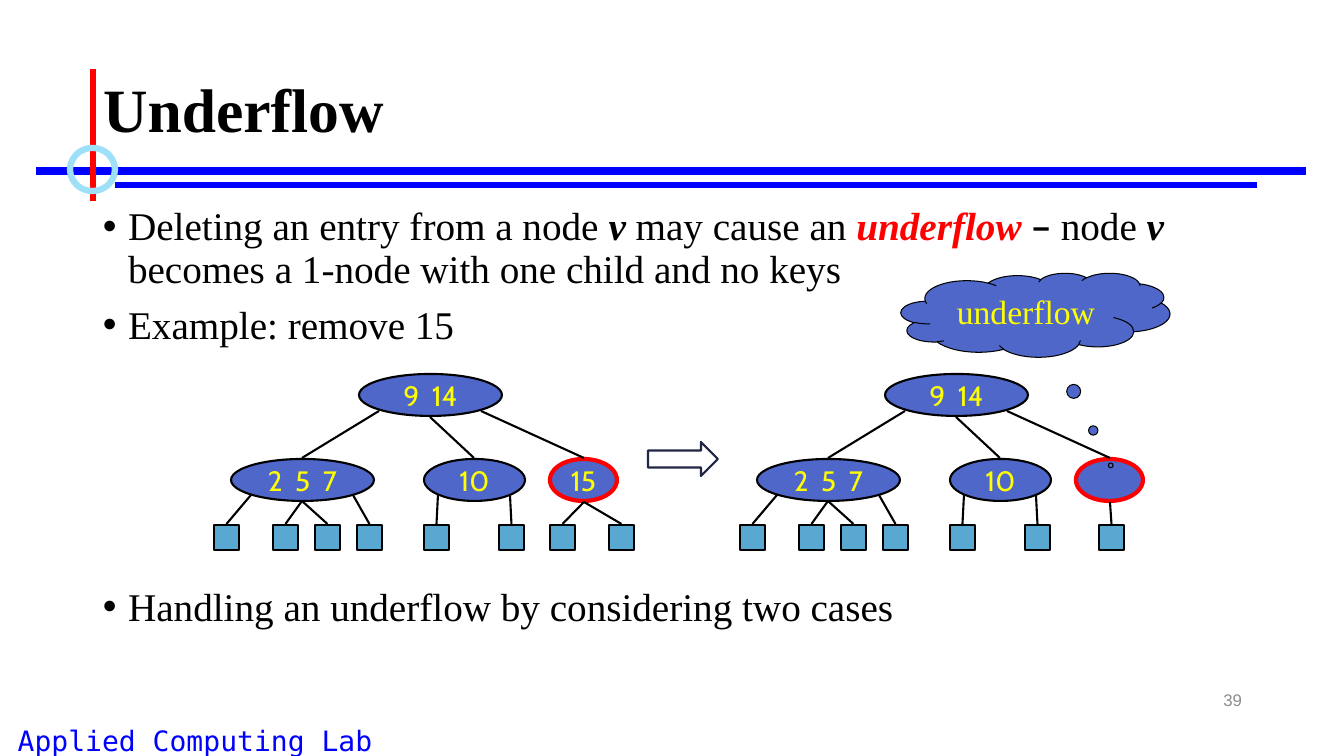
from lxml import etree
from pptx import Presentation
from pptx.dml.color import RGBColor
from pptx.enum import shapes, text
from pptx.oxml import ns
from pptx.util import Pt

BLACK = RGBColor(0, 0, 0)
BLUE = RGBColor(0, 0, 255)
RED = RGBColor(255, 0, 0)
SKY = RGBColor(0x9E, 0xE0, 0xF8)
GRAY = RGBColor(0x8C, 0x8C, 0x8C)
NODE = RGBColor(0x4E, 0x67, 0xC8)
LEAF = RGBColor(0x59, 0xA8, 0xD1)
YELLOW = RGBColor(255, 255, 0)
NAVY = RGBColor(0x21, 0x27, 0x45)
SERIF, SANS, MONO = "Times New Roman", "Cabin", "DejaVu Sans Mono"

PX = 914400 / 100.8
KIND = shapes.MSO_SHAPE
ALIGN = text.PP_ALIGN
ANCHOR = text.MSO_ANCHOR

VAR = {"bold": True, "italic": True}
BULLETS = [
    (0, [("Deleting an entry from a node ", {}), ("v", VAR),
         (" may cause an ", {}), ("underflow ", {**VAR, "color": RED}),
         ("–", {"face": SANS}), (" node ", {}), ("v", VAR),
         (" becomes a 1-node with one child and no keys", {})]),
    (10, [("Example: remove 15", {})]),
    (171, [("Handling an underflow by considering two cases", {})]),
]
RULES = [
    ((36, 171, 1306, 171), BLUE, 6),
    ((115, 185, 1257, 185), BLUE, 4.5),
    ((93, 69, 93, 201), RED, 4.5),
]
ROOT = (359, 374, 143, "9  14")
KIDS = [(231, 459, 143, "2  5  7"), (424, 459, 101, "10")]
BRANCHES = [(379, 411, 302), (430, 417, 474), (481, 411, 584)]
LEAVES = [(214, 251, 495), (273, 302, 501), (315, 302, 501),
          (357, 353, 495), (424, 438, 495), (499, 510, 495)]
TREES = [
    (0, "15", [(550, 584, 502), (609, 584, 502)]),
    (526, "", [(573, 584, 502)]),
]
SIDE, TALL, LEVEL = 25, 42, 525

deck = Presentation()
deck.slide_width, deck.slide_height = round(1344 * PX), round(756 * PX)
slide = deck.slides.add_slide(deck.slide_layouts[5])


def emu(*sizes):
    return [round(size * PX) for size in sizes]


def write(para, words, face=SERIF, size=28, color=BLACK, bold=False,
          italic=False):
    run = para.add_run()
    run.text = words
    font = run.font
    font.name, font.size, font.bold, font.italic = face, Pt(size), bold, italic
    font.color.rgb = color


def label(shape, words, align=ALIGN.CENTER, anchor=ANCHOR.MIDDLE, wrap=False,
          **style):
    frame = shape.text_frame
    frame.word_wrap, frame.vertical_anchor = wrap, anchor
    para = frame.paragraphs[0]
    para.alignment = align
    write(para, words, **style)


def line(ends, color=BLACK, width=1.5):
    link = slide.shapes.add_connector(shapes.MSO_CONNECTOR.STRAIGHT, *emu(*ends))
    link.line.color.rgb, link.line.width = color, Pt(width)
    etree.SubElement(link._element.spPr, ns.qn("a:effectLst"))


def draw(kind, box, fill=None, edge=BLACK, width=1.5):
    shape = slide.shapes.add_shape(kind, *emu(*box))
    shape.shadow.inherit = False
    if fill is None:
        shape.fill.background()
    else:
        shape.fill.solid()
        shape.fill.fore_color.rgb = fill
    shape.line.color.rgb, shape.line.width = edge, Pt(width)
    return shape


def oval(left, top, wide, words, edge=BLACK, width=1.5):
    shape = draw(KIND.OVAL, (left, top, wide, TALL), NODE, edge, width)
    if words:
        label(shape, words, face=SANS, size=20, color=YELLOW)


def tree(shift, last, extra):
    for left, top, wide, words in [ROOT, *KIDS]:
        oval(left + shift, top, wide, words)
    oval(550 + shift, 459, 67, last, RED, 3)
    for left, high, low in BRANCHES:
        line((low + shift, 458, left + shift, high))
    for left, stem, top in LEAVES + extra:
        draw(KIND.RECTANGLE, (left + shift, LEVEL, SIDE, SIDE), LEAF)
        line((left + SIDE / 2 + shift, LEVEL - 1, stem + shift, top))


def box(*place):
    return slide.shapes.add_textbox(*emu(*place))


def bullets():
    frame = box(93, 202, 1159, 480).text_frame
    frame.word_wrap = True
    for order, (gap, runs) in enumerate(BULLETS):
        para = frame.add_paragraph() if order else frame.paragraphs[0]
        props = para._p.get_or_add_pPr()
        props.set("marL", "228600")
        props.set("indent", "-228600")
        etree.SubElement(props, ns.qn("a:buFont"), typeface="Arial")
        etree.SubElement(props, ns.qn("a:buChar"), char="•")
        para.line_spacing, para.space_before = 0.9, Pt(gap)
        for words, style in runs:
            write(para, words, **style)


def main():
    for ends, color, width in RULES:
        line(ends, color, width)
    draw(KIND.OVAL, (70, 148, 45, 43), edge=SKY, width=4.5)
    title = slide.shapes.title
    title.left, title.top, title.width, title.height = emu(93, 40, 1159, 146)
    title.text_frame.auto_size = text.MSO_AUTO_SIZE.NONE
    label(title, "Underflow", ALIGN.LEFT, wrap=True, size=44, bold=True)
    title.text_frame.paragraphs[0].line_spacing = 0.9
    bullets()
    for part in TREES:
        tree(*part)
    arrow = draw(KIND.RIGHT_ARROW, (648, 442, 70, 34), edge=NAVY)
    arrow.adjustments[1] = 0.5
    cloud = draw(KIND.CLOUD_CALLOUT, (901, 273, 269, 84), NODE, width=0.75)
    cloud.adjustments[0], cloud.adjustments[1] = 0.28, 1.79
    label(cloud, "underflow", anchor=ANCHOR.TOP, wrap=True, size=24,
          color=YELLOW)
    label(box(950, 680, 302, 40), "39", ALIGN.RIGHT, wrap=True, face="Arial",
          size=12, color=GRAY)
    label(box(0, 719, 390, 43), "Applied Computing Lab", anchor=ANCHOR.TOP,
          wrap=True, face=MONO, size=20, color=BLUE)
    deck.save("out.pptx")


if __name__ == "__main__":
    main()
